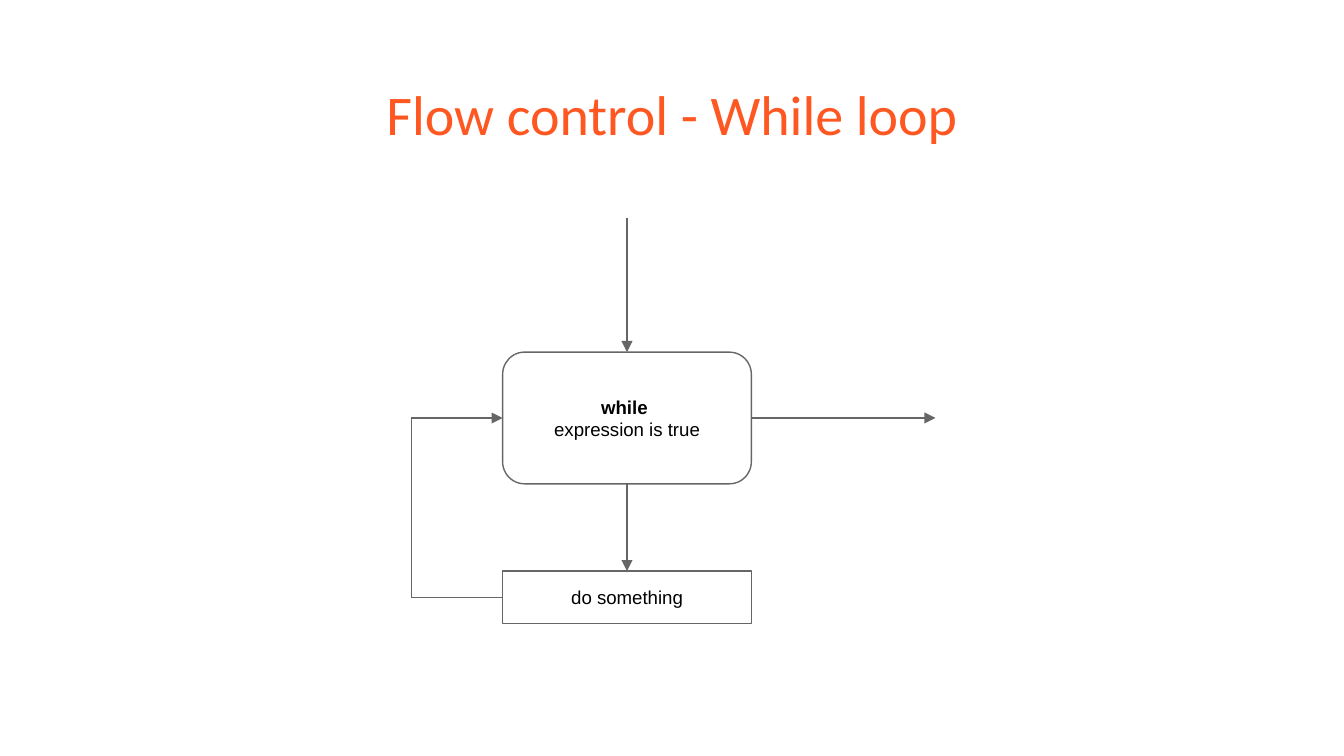
from pptx import Presentation
from pptx.dml.color import RGBColor
from pptx.enum.shapes import MSO_CONNECTOR as Connector, MSO_SHAPE as Shape
from pptx.enum.text import MSO_ANCHOR as Anchor, PP_ALIGN as Align
from pptx.oxml.ns import qn
from pptx.util import Inches, Pt
from lxml.etree import SubElement

ORANGE = RGBColor(0xFF, 0x57, 0x22)
GRAY = RGBColor(0x66, 0x66, 0x66)
BLACK = RGBColor(0, 0, 0)
LINE_WIDTH = Pt(0.75)


def write_text(shape, lines, font="Arial", size=10, color=BLACK,
               anchor=Anchor.MIDDLE, bold_lines=()):
    """Fill a shape with centred paragraphs."""
    frame = shape.text_frame
    frame.word_wrap = True
    frame.vertical_anchor = anchor
    frame.margin_left = frame.margin_right = Inches(0.1)
    frame.margin_top = frame.margin_bottom = Inches(0.1)
    for index, line in enumerate(lines):
        para = frame.add_paragraph() if index else frame.paragraphs[0]
        para.alignment = Align.CENTER
        span = para.add_run()
        span.text = line
        span.font.name = font
        span.font.size = Pt(size)
        span.font.bold = index in bold_lines
        span.font.color.rgb = color


def add_node(page, kind, left, top, width, height, lines, **style):
    node = page.shapes.add_shape(
        kind, *map(Inches, (left, top, width, height)))
    node.shadow.inherit = False
    node.fill.background()
    node.line.color.rgb = GRAY
    node.line.width = LINE_WIDTH
    write_text(node, lines, **style)


def add_link(page, start, end, arrow=True):
    link = page.shapes.add_connector(
        Connector.STRAIGHT, *map(Inches, (*start, *end)))
    link.line.color.rgb = GRAY
    link.line.width = LINE_WIDTH
    properties = link._element.spPr
    if arrow:
        SubElement(properties.find(qn("a:ln")), qn("a:tailEnd"), type="triangle")
    SubElement(properties, qn("a:effectLst"))


def add_title(page, left, top, width, height):
    title = page.shapes.add_textbox(*map(Inches, (left, top, width, height)))
    write_text(title, ["Flow control - While loop"], font="Calibri", size=30,
               color=ORANGE, anchor=Anchor.TOP)


def add_loop_diagram(page, left, top, width, height):
    right, bottom = left + width, top + height

    # Columns and rows shared by the nodes and links
    node_left, node_width = left + 0.7, 1.85
    node_right = node_left + node_width
    center = node_left + node_width / 2
    test_top, test_height = top + 1, 0.98
    test_bottom, test_middle = test_top + test_height, test_top + test_height / 2
    body_height = 0.39
    body_top, body_middle = bottom - body_height, bottom - body_height / 2

    # Nodes: loop condition and loop body
    add_node(page, Shape.ROUNDED_RECTANGLE, node_left, test_top, node_width,
             test_height, ["while ", "expression is true"], bold_lines=(0,))
    add_node(page, Shape.RECTANGLE, node_left, body_top, node_width,
             body_height, ["do something"])

    # Entry, step into the body, and exit
    add_link(page, (center, top), (center, test_top))
    add_link(page, (center, test_bottom), (center, body_top))
    add_link(page, (node_right, test_middle), (right, test_middle))

    # Return path from the body to the condition
    back = left + 0.02
    add_link(page, (node_left, body_middle), (back, body_middle), arrow=False)
    add_link(page, (back, body_middle), (back, test_middle), arrow=False)
    add_link(page, (back, test_middle), (node_left, test_middle))


def main():
    deck = Presentation()
    # Widescreen, 16:9
    deck.slide_width = Inches(10)
    deck.slide_height = deck.slide_width * 9 // 16
    page = deck.slides.add_slide(deck.slide_layouts[6])
    add_title(page, 0.34, 0.49, 9.32, 0.63)
    add_loop_diagram(page, 3.04, 1.62, 3.92, 3.02)
    deck.save("out.pptx")


if __name__ == "__main__":
    main()
